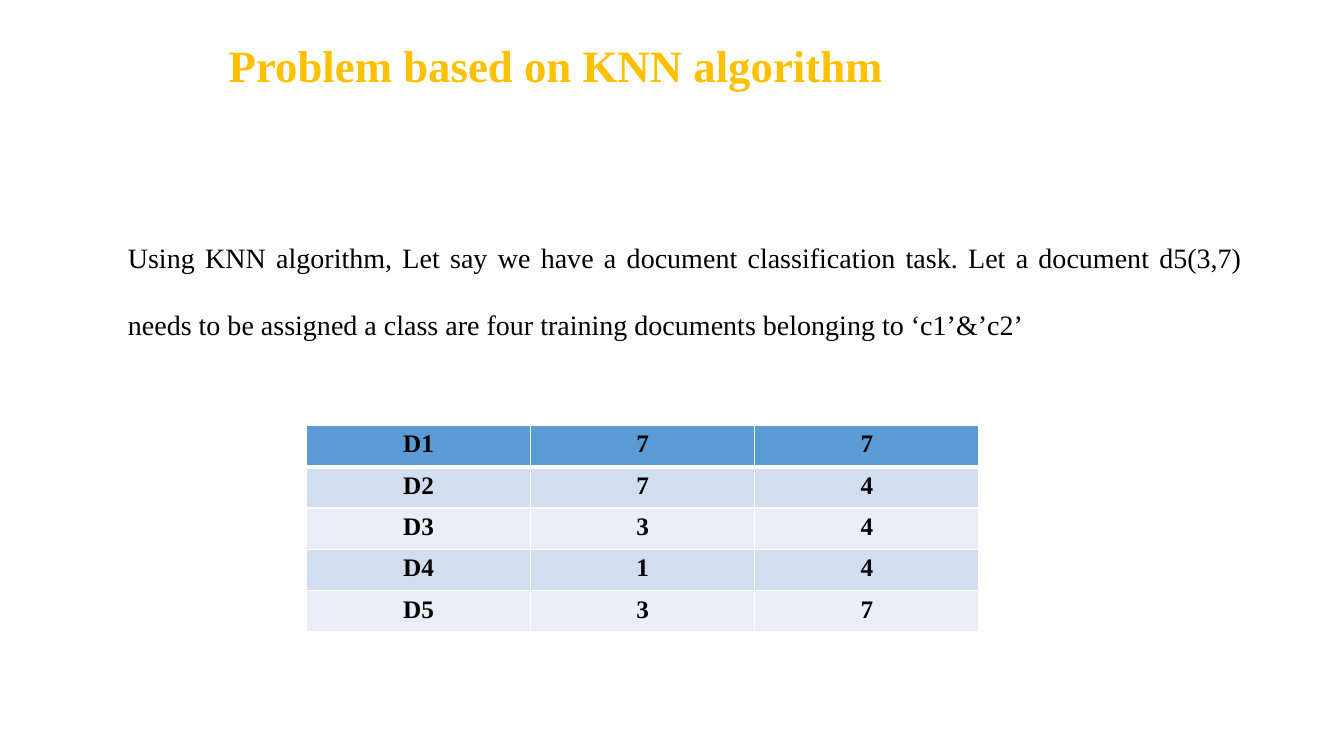
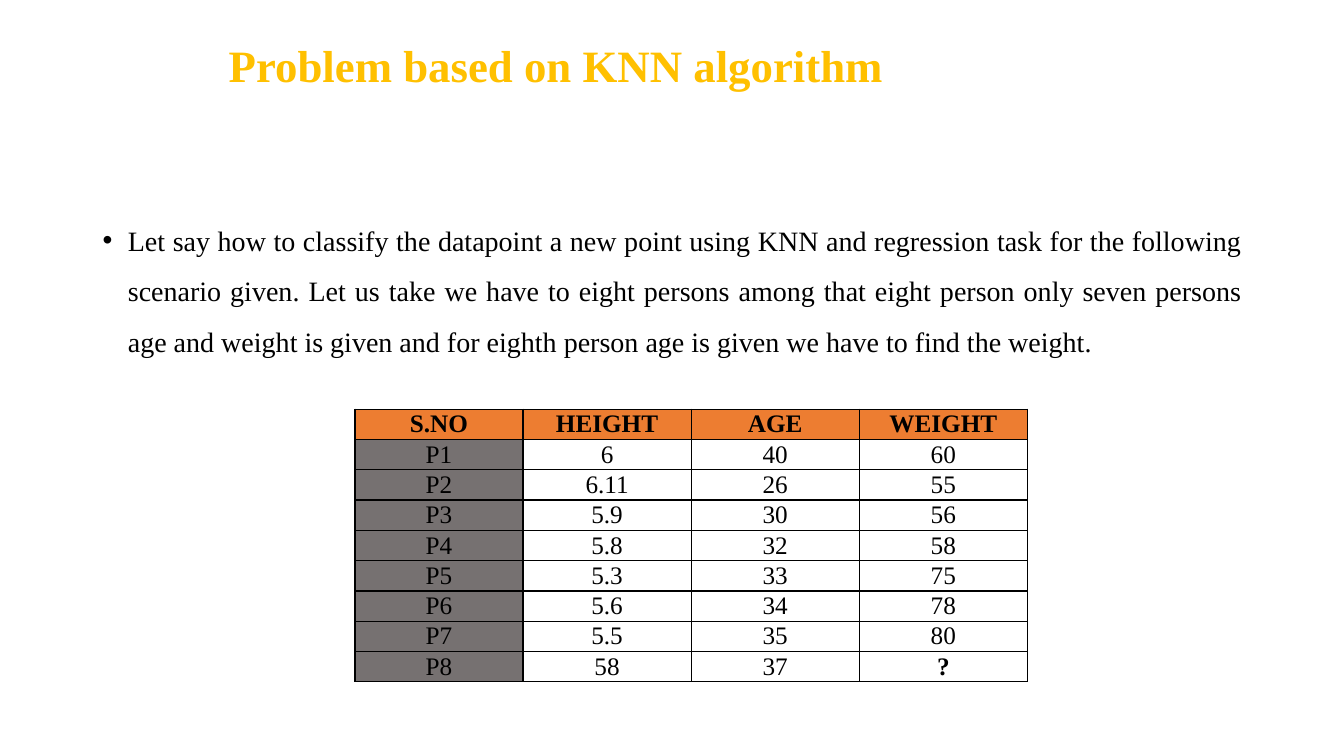
from lxml import etree
from pptx import Presentation
from pptx.dml import color
from pptx.enum import text
from pptx.oxml import ns
from pptx.util import Inches, Pt

FONT = "Times New Roman"
COLORS = {
    "title": "FFC000", "ink": "000000", "white": "FFFFFF",
    "header_blue": "5B9BD5", "band_dark": "D2DEEF", "band_light": "EAEFF7",
    "header_orange": "ED7D31", "label_gray": "767171",
}
TITLE = "Problem based on KNN algorithm"
TITLE_BOX = (2.17, 0.05, 9, 1.25)
BODY_BOX = (0.92, 2, 11.5, 4.76)
INDENT = 0.25


def banded_fill(row, column):
    if row == 0:
        return "header_blue"
    return "band_dark" if row % 2 else "band_light"


def labelled_fill(row, column):
    if row == 0:
        return "header_orange"
    return "label_gray" if column == 0 else "white"


SLIDES = [
    {
        "body": "Using KNN algorithm, Let say we have a document classification task. "
                "Let a document d5(3,7) needs to be assigned a class are four training "
                "documents belonging to ‘c1’&’c2’",
        "bullet": False,
        "line_spacing": 2.0,
        "rows": [
            ("D1", "7", "7"),
            ("D2", "7", "4"),
            ("D3", "3", "4"),
            ("D4", "1", "4"),
            ("D5", "3", "7"),
        ],
        "table": {
            "at": (3.04, 4.22), "width": 6.67, "row_height": 0.41,
            "fill": banded_fill, "border": "white", "header_rule": 3,
            "margins": (0.1, 0.05), "anchor": text.MSO_ANCHOR.TOP,
            "bold": lambda row, value: True,
        },
    },
    {
        "body": "Let say how to classify the datapoint a new point using KNN and "
                "regression task for the following scenario given. Let us take we have "
                "to eight persons among that eight person only seven persons age and "
                "weight is given and for eighth person age is given we have to find "
                "the weight.",
        "bullet": True,
        "line_spacing": 1.5,
        "rows": [
            ("S.NO", "HEIGHT", "AGE", "WEIGHT"),
            ("P1", "6", "40", "60"),
            ("P2", "6.11", "26", "55"),
            ("P3", "5.9", "30", "56"),
            ("P4", "5.8", "32", "58"),
            ("P5", "5.3", "33", "75"),
            ("P6", "5.6", "34", "78"),
            ("P7", "5.5", "35", "80"),
            ("P8", "58", "37", "?"),
        ],
        "table": {
            "at": (3.52, 4.06), "width": 6.67, "row_height": 0.28,
            "fill": labelled_fill, "border": "ink", "header_rule": 1,
            "margins": (0.07, 0), "anchor": text.MSO_ANCHOR.MIDDLE,
            "bold": lambda row, value: row == 0 or value == "?",
        },
    },
]


def rgb(name):
    return color.RGBColor.from_string(COLORS[name])


def add_run(paragraph, words, size, ink="ink", bold=False):
    run = paragraph.add_run()
    run.text = words
    run.font.name = FONT
    run.font.size = Pt(size)
    run.font.bold = bold
    run.font.color.rgb = rgb(ink)


def add_text_box(slide, box, anchor, line_spacing):
    frame = slide.shapes.add_textbox(*map(Inches, box)).text_frame
    frame.word_wrap = True
    frame.vertical_anchor = anchor
    paragraph = frame.paragraphs[0]
    paragraph.line_spacing = line_spacing
    return paragraph


def add_title(slide):
    paragraph = add_text_box(slide, TITLE_BOX, text.MSO_ANCHOR.MIDDLE, 0.9)
    add_run(paragraph, TITLE, 32, "title", True)


def add_body(slide, content):
    paragraph = add_text_box(slide, BODY_BOX, text.MSO_ANCHOR.TOP, content["line_spacing"])
    paragraph.alignment = text.PP_ALIGN.JUSTIFY
    properties = paragraph._p.get_or_add_pPr()
    properties.set("marL", str(Inches(INDENT)))
    if content["bullet"]:
        properties.set("indent", str(-Inches(INDENT)))
        font = etree.SubElement(properties, ns.qn("a:buFont"))
        font.set("typeface", "Arial")
        etree.SubElement(properties, ns.qn("a:buChar")).set("char", "•")
    add_run(paragraph, content["body"], 20)


def set_border(cell, side, width, name):
    line = etree.SubElement(cell._tc.get_or_add_tcPr(), ns.qn(f"a:ln{side}"))
    line.set("w", str(Pt(width)))
    fill = etree.SubElement(line, ns.qn("a:solidFill"))
    etree.SubElement(fill, ns.qn("a:srgbClr")).set("val", COLORS[name])


def style_cell(cell, row, column, value, style):
    for side in "LRTB":
        is_rule = (row, side) in ((0, "B"), (1, "T"))
        set_border(cell, side, style["header_rule"] if is_rule else 1, style["border"])
    cell.fill.solid()
    cell.fill.fore_color.rgb = rgb(style["fill"](row, column))
    horizontal, vertical = map(Inches, style["margins"])
    cell.margin_left = cell.margin_right = horizontal
    cell.margin_top = cell.margin_bottom = vertical
    cell.vertical_anchor = style["anchor"]
    paragraph = cell.text_frame.paragraphs[0]
    paragraph.alignment = text.PP_ALIGN.CENTER
    add_run(paragraph, value, 18, bold=style["bold"](row, value))


def add_data_table(slide, rows, style):
    size = (style["width"], style["row_height"] * len(rows))
    table = slide.shapes.add_table(
        len(rows), len(rows[0]), *map(Inches, style["at"] + size)).table
    table.first_row = table.horz_banding = False
    for row, values in enumerate(rows):
        for column, value in enumerate(values):
            style_cell(table.cell(row, column), row, column, value, style)


def main():
    presentation = Presentation()
    presentation.slide_width = Inches(13.33)
    presentation.slide_height = Inches(7.5)
    for content in SLIDES:
        slide = presentation.slides.add_slide(presentation.slide_layouts[6])
        add_title(slide)
        add_body(slide, content)
        add_data_table(slide, content["rows"], content["table"])
    presentation.save("out.pptx")


if __name__ == "__main__":
    main()
